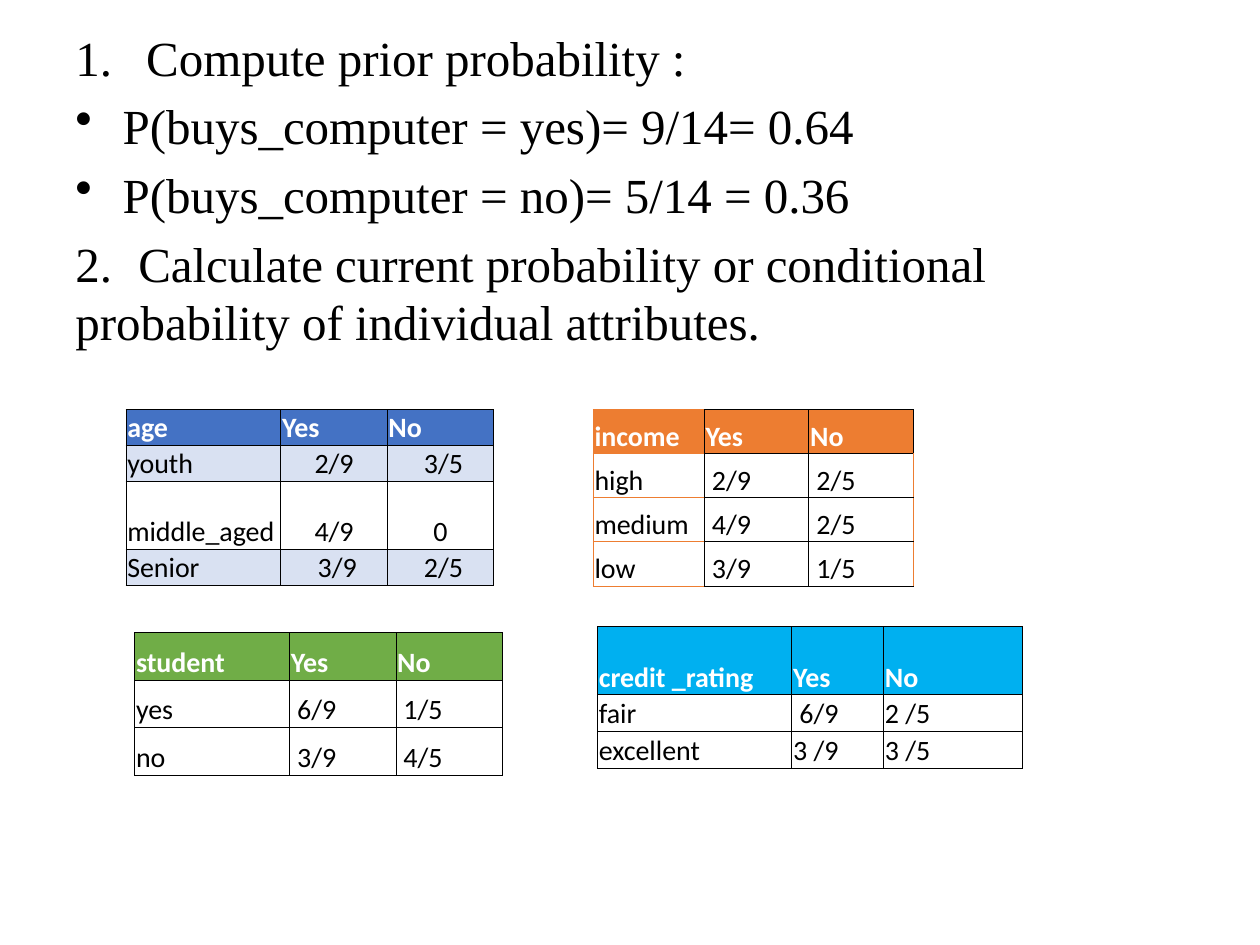
from dataclasses import dataclass

from lxml import etree
from pptx import Presentation
from pptx.dml.color import RGBColor
from pptx.enum.text import MSO_ANCHOR, PP_ALIGN
from pptx.oxml.ns import qn
from pptx.util import Pt

BOTTOM = MSO_ANCHOR.BOTTOM
LEFT, CENTER = PP_ALIGN.LEFT, PP_ALIGN.CENTER


@dataclass(frozen=True)
class Theme:
    ink: str = "000000"
    paper: str = "FFFFFF"
    blue: str = "4472C4"
    pale_blue: str = "D9E1F2"
    orange: str = "ED7D31"
    green: str = "70AD47"
    cyan: str = "00B0F0"
    body_font: str = "Times New Roman"
    table_font: str = "Calibri"
    body_size: float = 28
    table_size: float = 16
    border: float = 0.5


THEME = Theme()

STEPS = [
    ("Compute prior probability :", 40.5, ("buAutoNum", {"type": "arabicPeriod"})),
    ("P(buys_computer = yes)= 9/14= 0.64", 27, ("buChar", {"char": "•"})),
    ("P(buys_computer = no)= 5/14 = 0.36", 27, ("buChar", {"char": "•"})),
    ("2.\tCalculate current probability or conditional probability "
     "of individual attributes.", 0, ("buNone", {})),
]

AGE = [
    ["age", "Yes", "No"],
    ["youth", "2/9", " 3/5"],
    ["middle_aged", "4/9", "0"],
    ["Senior", " 3/9", " 2/5"],
]
INCOME = [
    ["income", "Yes", "No"],
    ["high", " 2/9", " 2/5"],
    ["medium", " 4/9", " 2/5"],
    ["low", " 3/9", " 1/5"],
]
STUDENT = [
    ["student", "Yes", "No"],
    ["yes", " 6/9", " 1/5"],
    ["no", " 3/9", " 4/5"],
]
CREDIT = [
    ["credit _rating", "Yes", "No"],
    ["fair", " 6/9", "2 /5"],
    ["excellent", "3 /9", "3 /5"],
]


def add_span(para, text, font, size, color, bold=False):
    span = para.add_run()
    span.text = text
    span.font.name = font
    span.font.size = Pt(size)
    span.font.bold = bold
    span.font.color.rgb = RGBColor.from_string(color)


def add_steps(page, left, top, width, height):
    box = page.shapes.add_textbox(Pt(left), Pt(top), Pt(width), Pt(height))
    frame = box.text_frame
    frame.word_wrap = True
    for index, (text, indent, (bullet, settings)) in enumerate(STEPS):
        para = frame.add_paragraph() if index else frame.paragraphs[0]
        properties = para._p.get_or_add_pPr()
        properties.set("marL", str(Pt(indent)))
        properties.set("indent", str(-Pt(indent)))
        etree.SubElement(properties, qn("a:" + bullet), settings)
        if "\t" in text:
            stops = etree.SubElement(properties, qn("a:tabLst"))
            etree.SubElement(stops, qn("a:tab"), pos=str(Pt(34.5)), algn="l")
        if index:
            para.space_before = Pt(THEME.body_size * 0.2)
        add_span(para, text, THEME.body_font, THEME.body_size, THEME.ink)


def set_borders(cell, accents):
    properties = cell._tc.get_or_add_tcPr()
    for side in "LRTB":
        line = etree.SubElement(properties, qn("a:ln" + side), w=str(Pt(THEME.border)))
        fill = etree.SubElement(line, qn("a:solidFill"))
        etree.SubElement(fill, qn("a:srgbClr"), val=accents.get(side, THEME.ink))


def edge_accents(row, column, last_column, color):
    if color and column == 0:
        return dict.fromkeys("LTB", color)
    if color and row and column == last_column:
        return {"R": color}
    return {}


def add_counts(page, left, top, widths, heights, rows, header,
               band=None, edge=None, align=LEFT):
    frame = page.shapes.add_table(len(rows), len(widths), Pt(left), Pt(top),
                                  Pt(sum(widths)), Pt(sum(heights)))
    table = frame.table
    table.horz_banding = False
    for column, width in zip(table.columns, widths):
        column.width = Pt(width)
    for r, (values, height) in enumerate(zip(rows, heights)):
        table.rows[r].height = Pt(height)
        fill = header if r == 0 else band if r % 2 else None
        for c, value in enumerate(values):
            cell = table.cell(r, c)
            set_borders(cell, edge_accents(r, c, len(widths) - 1, edge))
            cell.margin_left = cell.margin_right = cell.margin_top = Pt(0.75)
            cell.margin_bottom = Pt(0)
            cell.vertical_anchor = BOTTOM
            if fill:
                cell.fill.solid()
                cell.fill.fore_color.rgb = RGBColor.from_string(fill)
            else:
                cell.fill.background()
            para = cell.text_frame.paragraphs[0]
            para.alignment = align if r and c else LEFT
            add_span(para, value, THEME.table_font, THEME.table_size,
                     THEME.ink if r else THEME.paper, bold=r == 0)


def main():
    deck = Presentation()
    deck.slide_width, deck.slide_height = Pt(720), Pt(540)
    page = deck.slides.add_slide(deck.slide_layouts[6])
    add_steps(page, 36, 12, 648, 470)
    add_counts(page, 72, 234, [88.5, 60.75, 60.75], [20.5, 20.5, 39, 20.5], AGE,
               THEME.blue, band=THEME.pale_blue, align=CENTER)
    add_counts(page, 339, 234, [63.5, 59.75, 59.75], [25.2] * 4, INCOME,
               THEME.orange, edge=THEME.orange)
    add_counts(page, 77, 361.5, [88.5, 60.75, 60.75], [27.1] * 3, STUDENT,
               THEME.green)
    add_counts(page, 341.5, 358, [111, 52.5, 79.5], [39, 21, 21], CREDIT,
               THEME.cyan)
    deck.save("out.pptx")


if __name__ == "__main__":
    main()
